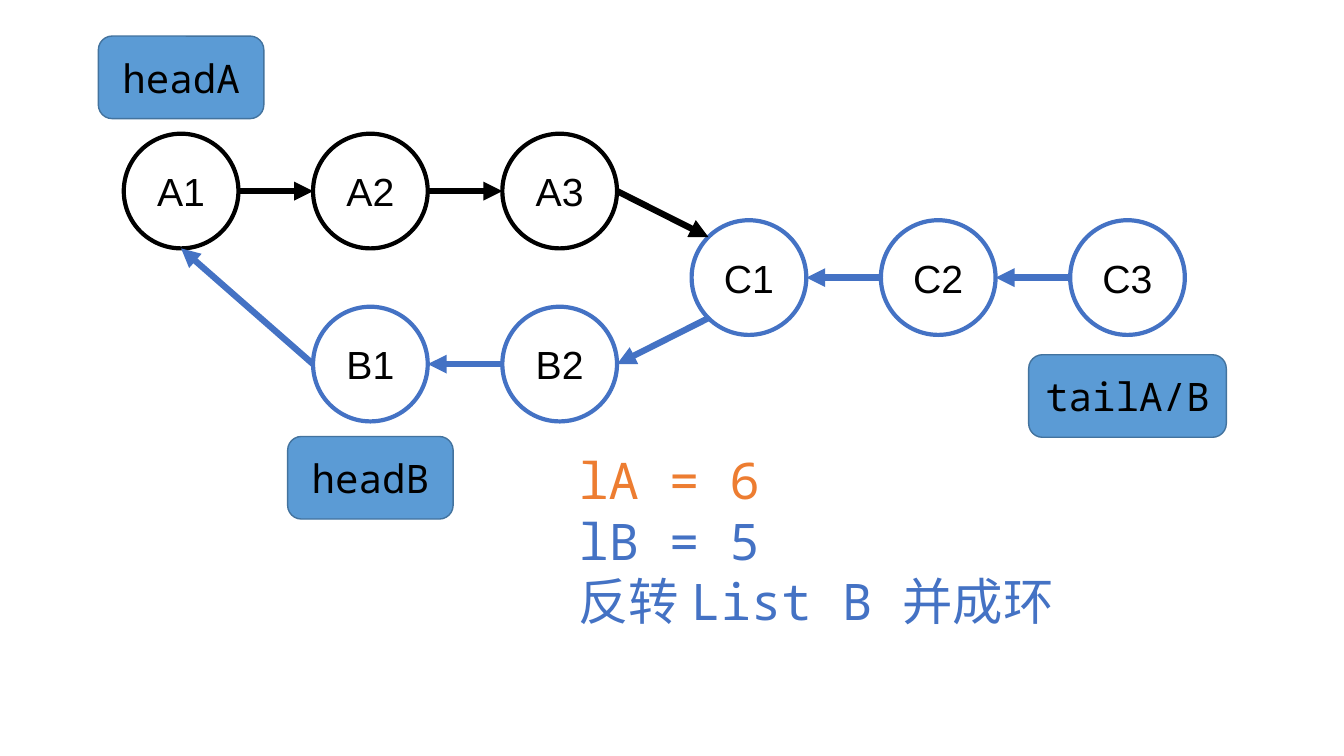
from math import cos, radians, sin

from lxml.etree import SubElement
from pptx import Presentation
from pptx.dml.color import RGBColor
from pptx.enum.shapes import MSO_CONNECTOR, MSO_SHAPE
from pptx.enum.text import MSO_ANCHOR, PP_ALIGN
from pptx.oxml.ns import qn
from pptx.util import Cm, Pt

COLORS = {
    "black": "000000",
    "white": "FFFFFF",
    "blue": "4472C4",
    "orange": "ED7D31",
    "label": "5B9BD5",
    "label_line": "43739E",
}
MONO = "Noto Sans Mono"

# Node grid, in centimetres
LEFT, TOP = 3.12, 3.37
COLUMN_STEP, ROW_STEP = 4.77, 2.18
DIAMETER = 2.89

# Points on a circle, as clockwise angles from the right
SITES = {"right": 0, "lower right": 45, "bottom": 90, "lower left": 135,
         "left": 180, "upper left": 225}

# Name, column, row, outline colour
NODES = [
    ("A1", 0, 0, "black"), ("A2", 1, 0, "black"), ("A3", 2, 0, "black"),
    ("B1", 1, 2, "blue"), ("B2", 2, 2, "blue"),
    ("C1", 3, 1, "blue"), ("C2", 4, 1, "blue"), ("C3", 5, 1, "blue"),
]
# Start node and site, end node and site, colour
LINKS = [
    ("A1", "right", "A2", "left", "black"),
    ("A2", "right", "A3", "left", "black"),
    ("A3", "right", "C1", "upper left", "black"),
    ("C3", "left", "C2", "right", "blue"),
    ("C2", "left", "C1", "right", "blue"),
    ("C1", "lower left", "B2", "right", "blue"),
    ("B2", "left", "B1", "right", "blue"),
    ("B1", "left", "A1", "bottom", "blue"),
]
# Text, node it belongs to, top, width
LABELS = [("headA", "A1", 0.91, 4.17), ("headB", "B1", 11, 4.17),
          ("tailA/B", "C3", 8.94, 4.98)]
NOTES = [("lA = 6", "orange"), ("lB = 5", "blue"),
         ("反转 List B 并成环", "blue")]


def rgb(name):
    return RGBColor.from_string(COLORS[name])


def set_font(p, name, size, color):
    p.font.name = name
    p.font.size = Pt(size)
    p.font.color.rgb = rgb(color)


def add_box(slide, kind, box, text, font, fill, line, weight):
    """Add a filled shape with one centred line of text; box is in cm."""
    sp = slide.shapes.add_shape(kind, *map(Cm, box))
    sp.shadow.inherit = False
    sp.fill.solid()
    sp.fill.fore_color.rgb = rgb(fill)
    sp.line.color.rgb = rgb(line)
    sp.line.width = Pt(weight)
    tf = sp.text_frame
    tf.vertical_anchor = MSO_ANCHOR.MIDDLE
    p = tf.paragraphs[0]
    p.text = text
    p.alignment = PP_ALIGN.CENTER
    set_font(p, font, 28, "black")
    return sp


def add_node(slide, name, column, row, color):
    box = (LEFT + column * COLUMN_STEP, TOP + row * ROW_STEP,
           DIAMETER, DIAMETER)
    return add_box(slide, MSO_SHAPE.OVAL, box, name, "Arial",
                   "white", color, 3)


def add_label(slide, text, node, top, width):
    """Add a pointer label centred on the column of its node."""
    left = (node.left + node.width / 2) / Cm(1) - width / 2
    add_box(slide, MSO_SHAPE.ROUNDED_RECTANGLE, (left, top, width, 2.08),
            text, MONO, "label", "label_line", 1)


def site_point(node, site):
    angle = radians(SITES[site])
    radius = node.width / 2
    return (round(node.left + radius * (1 + cos(angle))),
            round(node.top + radius * (1 + sin(angle))))


def add_arrow(slide, start, end, color):
    cxn = slide.shapes.add_connector(MSO_CONNECTOR.STRAIGHT, *start, *end)
    cxn.line.color.rgb = rgb(color)
    cxn.line.width = Pt(4.5)
    SubElement(cxn.line._get_or_add_ln(), qn("a:tailEnd"), type="triangle")
    SubElement(cxn._element.spPr, qn("a:effectLst"))


def add_notes_text(slide):
    tb = slide.shapes.add_textbox(Cm(14.33), Cm(11.2), Cm(12.55), Cm(4.88))
    tf = tb.text_frame
    tf.word_wrap = True
    for i, (text, color) in enumerate(NOTES):
        p = tf.add_paragraph() if i else tf.paragraphs[0]
        p.text = text
        set_font(p, MONO, 36, color)


def main():
    prs = Presentation()
    prs.slide_width, prs.slide_height = Cm(33.87), Cm(19.05)
    slide = prs.slides.add_slide(prs.slide_layouts[6])

    nodes = {node[0]: add_node(slide, *node) for node in NODES}
    for start, start_site, end, end_site, color in LINKS:
        add_arrow(slide, site_point(nodes[start], start_site),
                  site_point(nodes[end], end_site), color)
    for text, name, top, width in LABELS:
        add_label(slide, text, nodes[name], top, width)
    add_notes_text(slide)

    prs.save("out.pptx")


if __name__ == "__main__":
    main()
